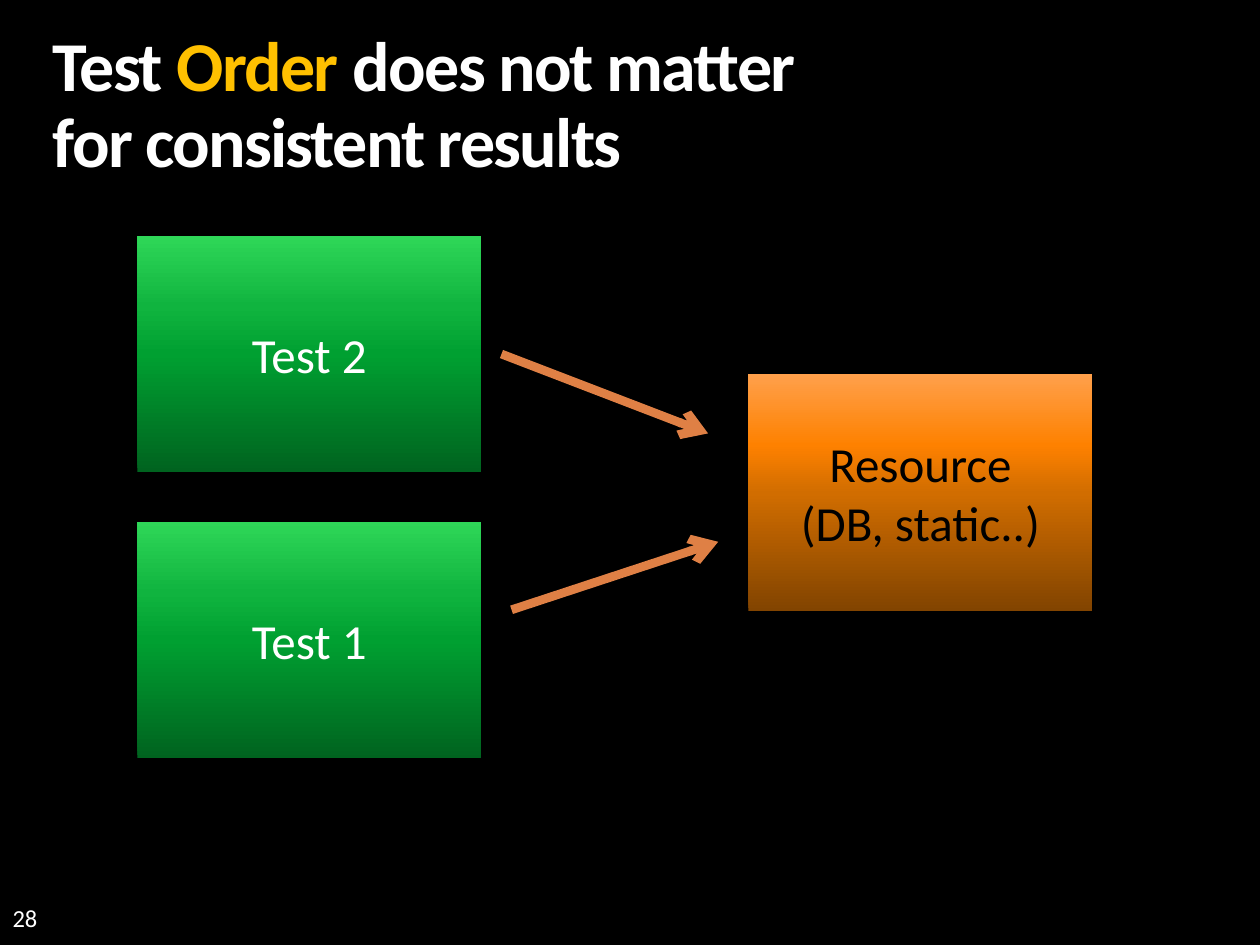
"""Build the slide about test order and consistent results."""
from copy import deepcopy
from typing import NamedTuple

from pptx import Presentation
from pptx import util as u
from pptx.dml.color import RGBColor
from pptx.enum import shapes, text
from pptx.oxml.ns import qn
from lxml import etree

FONT = "Calibri"
COLORS = {"black": "000000", "white": "FFFFFF", "gold": "FFC000", "arrow": "DF8045"}
STOPS = (0, 0.5, 0.7, 1)
GRADIENTS = {
    "green": ("00631F", "00A031", "10B43F", "2FD758"),
    "orange": ("824400", "D16D00", "FE8100", "FFA04B"),
}
BOX_W, BOX_H = 2.73, 1.88


class Box(NamedTuple):
    left: float
    top: float
    lines: tuple[str, ...]
    gradient: str
    color: str


class Arrow(NamedTuple):
    x1: float
    y1: float
    x2: float
    y2: float


BOXES = (
    Box(1.09, 4.14, ("Test 1",), "green", "white"),
    Box(1.09, 1.87, ("Test 2",), "green", "white"),
    Box(5.94, 2.97, ("Resource", "(DB, static..)"), "orange", "black"),
)
ARROWS = (Arrow(3.98, 2.81, 5.62, 3.44), Arrow(4.06, 4.84, 5.7, 4.3))


def rgb(name: str) -> RGBColor:
    return RGBColor.from_string(COLORS[name])


def set_font(font, size: float, color: str) -> None:
    font.name, font.size = FONT, u.Pt(size)
    font.color.rgb = rgb(color)


def clear_margins(tf) -> None:
    tf.margin_left = tf.margin_top = tf.margin_right = tf.margin_bottom = 0


def fill_gradient(sp, colors: tuple[str, ...]) -> None:
    sp.fill.gradient()
    sp.fill.gradient_angle = 90
    stop_list = next(sp.element.iter(qn("a:gsLst")))
    while len(stop_list) < len(colors):
        stop_list.append(deepcopy(stop_list[0]))
    for stop, position, color in zip(sp.fill.gradient_stops, STOPS, colors):
        stop.position = position
        stop.color.rgb = RGBColor.from_string(color)


def add_title(s) -> None:
    sp = s.shapes.title
    sp.left, sp.top = u.Inches(0.42), u.Inches(0.25)
    sp.width, sp.height = u.Inches(9.16), u.Inches(1.21)
    tf = sp.text_frame
    tf.word_wrap = True
    tf.auto_size = text.MSO_AUTO_SIZE.SHAPE_TO_FIT_TEXT
    tf.vertical_anchor = text.MSO_ANCHOR.TOP
    clear_margins(tf)
    p = tf.paragraphs[0]
    p.alignment = text.PP_ALIGN.LEFT
    p.line_spacing = 0.9
    for words, color in (("Test ", "white"), ("Order", "gold"),
                         (" does not matter", "white"), ("for consistent results", "white")):
        if words.startswith("for"):
            p.add_line_break()
        r = p.add_run()
        r.text = words
        set_font(r.font, 40, color)
        r.font.bold = True
        r.font._element.set("spc", "-100")


def add_box(s, box: Box) -> None:
    sp = s.shapes.add_shape(shapes.MSO_SHAPE.RECTANGLE, u.Inches(box.left), u.Inches(box.top),
                            u.Inches(BOX_W), u.Inches(BOX_H))
    sp.shadow.inherit = False
    sp.line.fill.background()
    fill_gradient(sp, GRADIENTS[box.gradient])
    tf = sp.text_frame
    tf.word_wrap = True
    tf.vertical_anchor = text.MSO_ANCHOR.MIDDLE
    tf.text = "\n".join(box.lines)
    for p in tf.paragraphs:
        p.alignment = text.PP_ALIGN.CENTER
        set_font(p.font, 28, box.color)


def add_arrow(s, arrow: Arrow) -> None:
    cx = s.shapes.add_connector(shapes.MSO_CONNECTOR.STRAIGHT, *map(u.Inches, arrow))
    cx.line.color.rgb = rgb("arrow")
    cx.line.width = u.Pt(5)
    etree.SubElement(cx.line._get_or_add_ln(), qn("a:tailEnd"), type="arrow")
    etree.SubElement(cx._element.spPr, qn("a:effectLst"))


def add_slide_number(s, number: int) -> None:
    sp = s.shapes.add_textbox(u.Inches(0.1), u.Inches(7), u.Inches(2.33), u.Inches(0.4))
    tf = sp.text_frame
    tf.word_wrap = True
    tf.vertical_anchor = text.MSO_ANCHOR.BOTTOM
    clear_margins(tf)
    tf.text = str(number)
    set_font(tf.paragraphs[0].font, 14, "white")


def main() -> None:
    prs = Presentation()
    prs.slide_width, prs.slide_height = u.Inches(10), u.Inches(7.5)
    s = prs.slides.add_slide(prs.slide_layouts[5])
    s.background.fill.solid()
    s.background.fill.fore_color.rgb = rgb("black")
    add_slide_number(s, 28)
    add_title(s)
    for box in BOXES:
        add_box(s, box)
    for arrow in ARROWS:
        add_arrow(s, arrow)
    prs.save("out.pptx")


if __name__ == "__main__":
    main()
